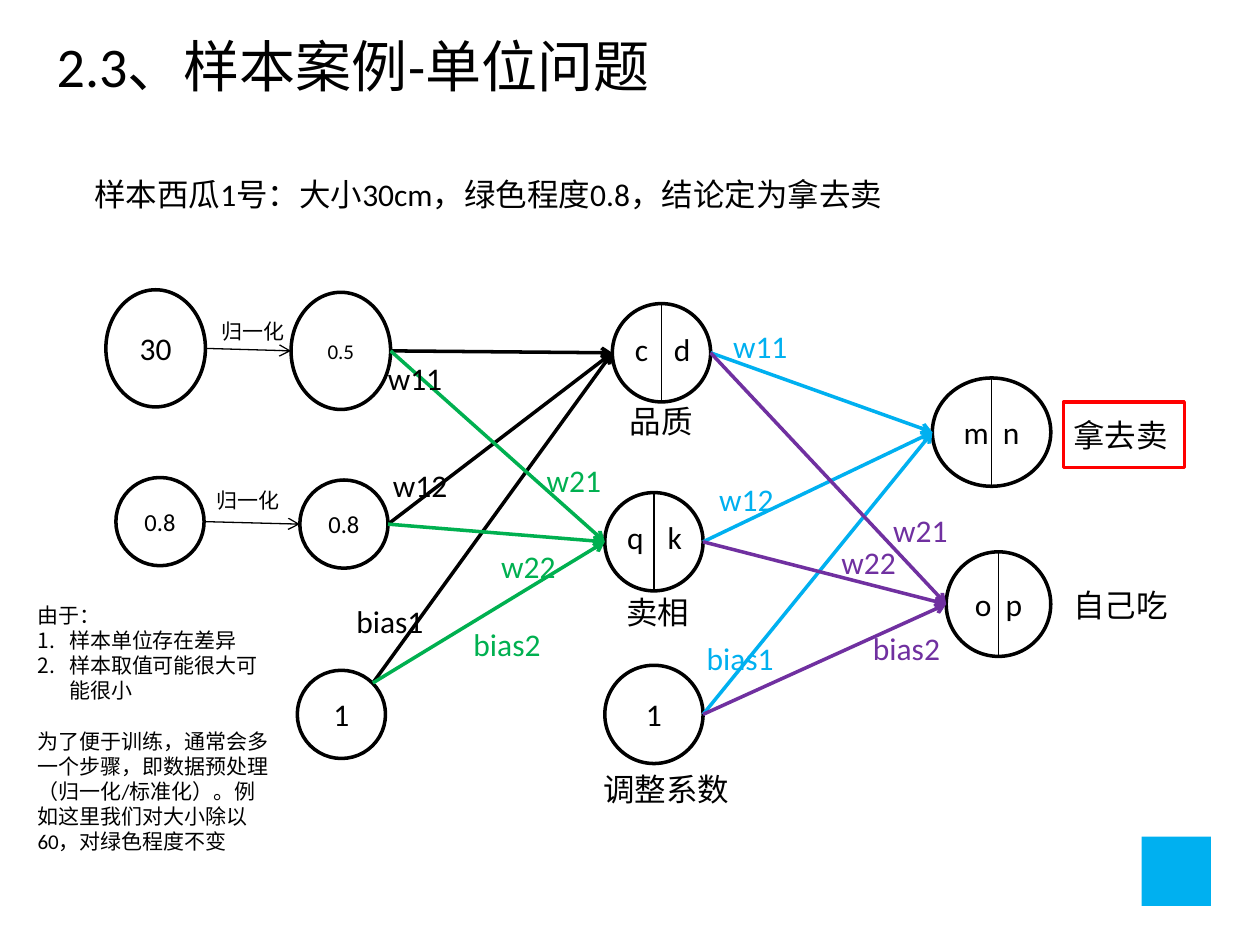
from lxml import etree
from pptx import Presentation
from pptx.dml.color import RGBColor
from pptx.enum.shapes import MSO_CONNECTOR, MSO_SHAPE
from pptx.enum.text import MSO_ANCHOR, MSO_AUTO_SIZE, PP_ALIGN
from pptx.oxml.ns import qn
from pptx.util import Inches, Pt

LINE = MSO_CONNECTOR.STRAIGHT
OVAL, RECT = MSO_SHAPE.OVAL, MSO_SHAPE.RECTANGLE
TOP, MIDDLE = MSO_ANCHOR.TOP, MSO_ANCHOR.MIDDLE
LEFT, CENTER = PP_ALIGN.LEFT, PP_ALIGN.CENTER
FIXED, GROW = MSO_AUTO_SIZE.NONE, MSO_AUTO_SIZE.SHAPE_TO_FIT_TEXT

COLORS = {
    "black": "000000",
    "green": "00B050",
    "blue": "00B0F0",
    "purple": "7030A0",
    "red": "FF0000",
}


class Deck:
    font = "Calibri"
    thick, thin = 2, 0.75

    def __init__(self):
        self.prs = Presentation()
        self.prs.slide_width, self.prs.slide_height = Inches(10), Inches(7.5)
        self.slide = self.prs.slides.add_slide(self.prs.slide_layouts[5])
        self.shapes = self.slide.shapes

    def rgb(self, color):
        return RGBColor.from_string(COLORS[color])

    def style(self, frame, size, color="black", align=LEFT):
        for para in frame.paragraphs:
            para.alignment = align
            for run in para.runs:
                run.font.name = self.font
                run.font.size = Pt(size)
                run.font.color.rgb = self.rgb(color)

    def title(self, text, box):
        shape = self.shapes.title
        shape.left, shape.top, shape.width, shape.height = map(Inches, box)
        frame = shape.text_frame
        frame.text = text
        frame.word_wrap, frame.auto_size = True, FIXED
        frame.vertical_anchor = TOP
        self.style(frame, 32)

    def label(self, text, box, color="black", size=18, wrap=False):
        frame = self.shapes.add_textbox(*map(Inches, box)).text_frame
        frame.text = text
        frame.word_wrap = wrap
        frame.auto_size = FIXED if wrap else GROW
        self.style(frame, size, color)
        return frame

    def shape(self, kind, box, fill=None, line=None):
        shape = self.shapes.add_shape(kind, *map(Inches, box))
        shape.shadow.inherit = False
        if fill:
            shape.fill.solid()
            shape.fill.fore_color.rgb = self.rgb(fill)
        else:
            shape.fill.background()
        if line:
            shape.line.color.rgb = self.rgb(line)
            shape.line.width = Pt(self.thick)
        else:
            shape.line.fill.background()
        return shape

    def node(self, box, text="", size=18, split=False):
        shape = self.shape(OVAL, box, line="black")
        frame = shape.text_frame
        frame.text = text
        frame.vertical_anchor = MIDDLE
        self.style(frame, size, align=CENTER)
        if split:
            x, y, w, h = box
            self.line((x + w / 2, y), (x + w / 2, y + h), width=self.thin)

    def line(self, start, end, color="black", width=thick, arrow=False):
        line = self.shapes.add_connector(LINE, *map(Inches, (*start, *end)))
        line.line.color.rgb = self.rgb(color)
        line.line.width = Pt(width)
        if arrow:
            ln = line.line._get_or_add_ln()
            etree.SubElement(ln, qn("a:tailEnd"), type="arrow")
        etree.SubElement(line._element.spPr, qn("a:effectLst"))

    def number(self, para):
        props = para._p.get_or_add_pPr()
        props.set("marL", str(Inches(0.25)))
        props.set("indent", str(Inches(-0.25)))
        etree.SubElement(props, qn("a:buFont"), typeface="+mj-lt")
        etree.SubElement(props, qn("a:buAutoNum"), type="arabicPeriod")


def west(box):
    return box[0], box[1] + box[3] / 2


def east(box):
    return box[0] + box[2], box[1] + box[3] / 2


def main():
    deck = Deck()

    # Heading and corner square
    deck.shape(RECT, (9.06, 6.64, 0.55, 0.55), fill="blue")
    deck.title("2.3、样本案例-单位问题", (0.35, 0.2, 4.95, 0.64))
    deck.label("样本西瓜1号：大小30cm，绿色程度0.8，结论定为拿去卖",
               (0.65, 1.34, 6.51, 0.4), wrap=True)

    # Neurons: box, text, size, split in two halves
    nodes = {
        "raw1": ((0.84, 2.3, 0.79, 0.93), "30", 18, False),
        "raw2": ((0.92, 3.79, 0.7, 0.7), "0.8", 14, False),
        "in1": ((2.31, 2.32, 0.79, 0.93), "0.5", 12, False),
        "in2": ((2.38, 3.81, 0.7, 0.7), "0.8", 14, False),
        "bias1": ((2.36, 5.32, 0.7, 0.7), "1", 18, False),
        "hid1": ((4.86, 2.41, 0.78, 0.78), "", 18, True),
        "hid2": ((4.8, 3.91, 0.78, 0.78), "", 18, True),
        "bias2": ((4.8, 5.28, 0.78, 0.78), "1", 18, False),
        "out1": ((7.4, 3, 0.94, 0.86), "m  n", 18, True),
        "out2": ((7.51, 4.38, 0.83, 0.83), "o  p", 18, True),
    }
    for node in nodes.values():
        deck.node(*node)
    ends = {name: east(node[0]) for name, node in nodes.items()}
    ends["bias1"] = (2.96, 5.42)

    # Weighted links from each layer to the next
    links = [
        (("in1", "in2", "bias1"), "hid1", "black"),
        (("in1", "in2", "bias1"), "hid2", "green"),
        (("hid1", "hid2", "bias2"), "out1", "blue"),
        (("hid1", "hid2", "bias2"), "out2", "purple"),
    ]
    for froms, goal, color in links:
        for name in froms:
            deck.line(ends[name], west(nodes[goal][0]), color, arrow=True)

    # Weight names, three to a colour
    weights = {
        "black": [("w11", 2.98, 2.8), ("w12", 3.02, 3.65), ("bias1", 2.73, 4.73)],
        "green": [("w21", 4.24, 3.61), ("w22", 3.88, 4.29), ("bias2", 3.66, 4.91)],
        "blue": [("w11", 5.72, 2.55), ("w12", 5.61, 3.76), ("bias1", 5.51, 5.02)],
        "purple": [("w21", 6.99, 4.01), ("w22", 6.58, 4.26), ("bias2", 6.83, 4.94)],
    }
    for color, names in weights.items():
        for text, x, y in names:
            wide = 0.74 if text.startswith("bias") else 0.64
            deck.label(text, (x, y, wide, 0.4), color)

    # Letters in the hidden layer and names of neurons
    for text, x, y, wide in [
        ("c", 4.94, 2.57, 0.31), ("d", 5.25, 2.57, 0.34),
        ("q", 4.88, 4.06, 0.34), ("k", 5.2, 4.06, 0.32),
        ("品质", 4.9, 3.14, 0.71), ("卖相", 4.87, 4.66, 0.71),
        ("调整系数", 4.69, 6.06, 1.21),
        ("拿去卖", 8.42, 3.25, 0.96), ("自己吃", 8.42, 4.6, 0.96),
    ]:
        deck.label(text, (x, y, wide, 0.4))
    deck.shape(RECT, (8.44, 3.19, 0.96, 0.52), line="red")

    # Scaling of the raw inputs
    for raw, goal, x, y in [("raw1", "in1", 1.66, 2.48), ("raw2", "in2", 1.62, 3.82)]:
        deck.line(ends[raw], west(nodes[goal][0]), width=deck.thin, arrow=True)
        deck.label("归一化", (x, y, 0.71, 0.3), size=12)

    # Reasons for scaling
    notes = [
        "由于：",
        "样本单位存在差异",
        "样本取值可能很大可能很小",
        "为了便于训练，通常会多一个步骤，即数据预处理（归一化/标准化）。"
        "例如这里我们对大小除以60，对绿色程度不变",
    ]
    frame = deck.label("\n".join(notes), (0.2, 4.73, 2.08, 2.12), size=12, wrap=True)
    for para in frame.paragraphs[1:3]:
        deck.number(para)
    frame.paragraphs[3].space_before = Pt(14.4)

    deck.prs.save("out.pptx")


if __name__ == "__main__":
    main()
